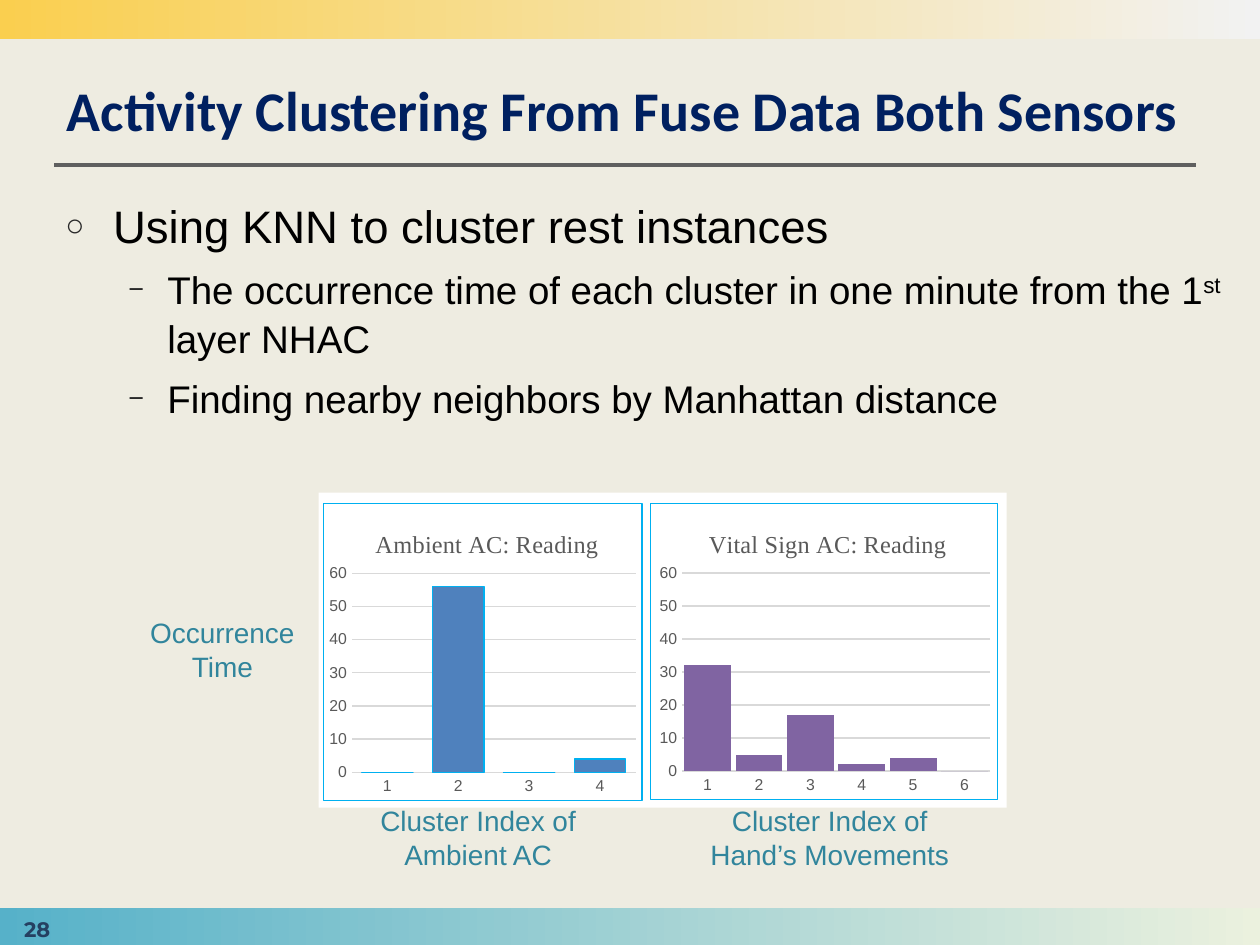
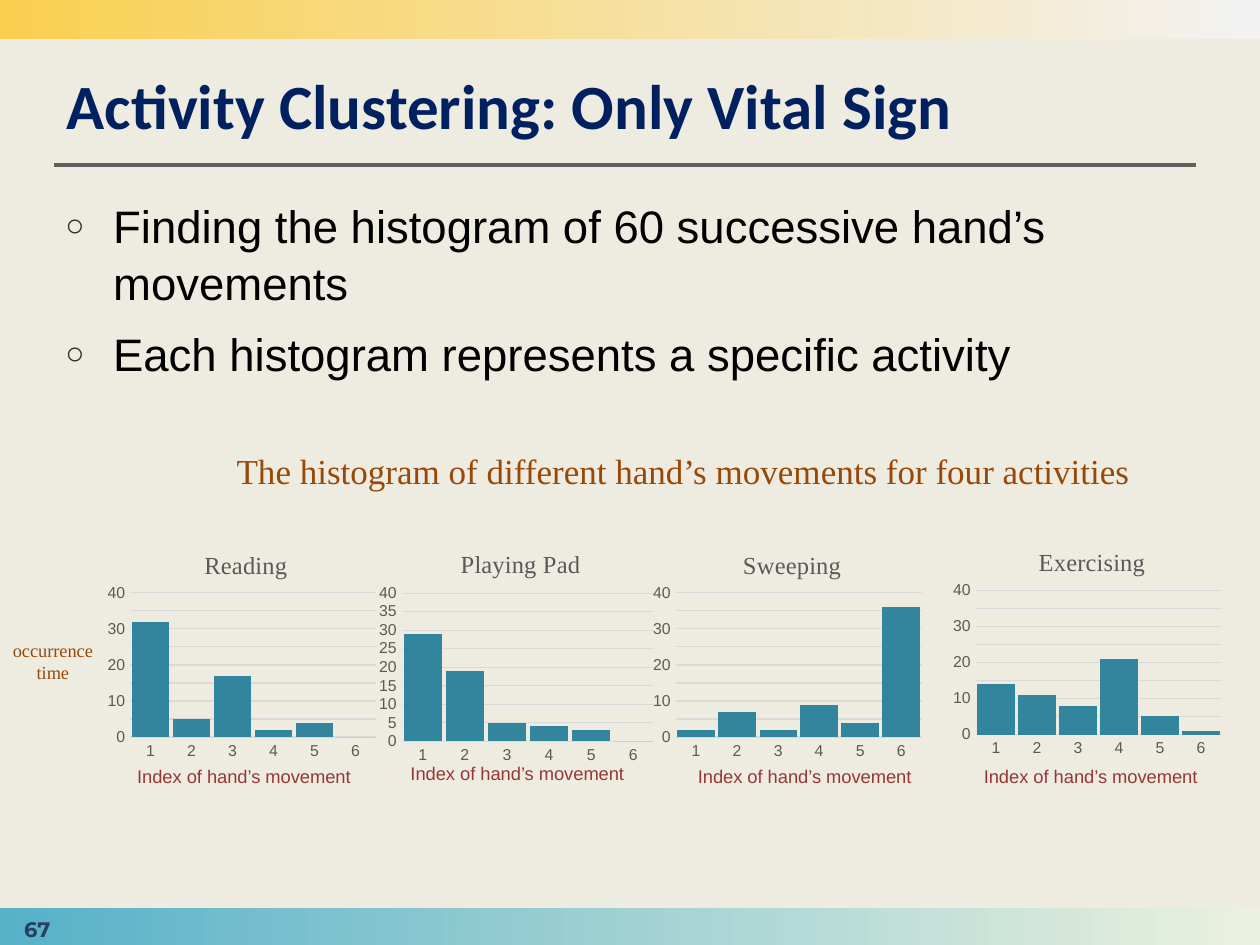
import pptx
import pptx.util
import pptx.dml.color
import pptx.chart.data
import pptx.enum.chart
import pptx.enum.shapes
import pptx.enum.text
import pptx.oxml
import pptx.oxml.ns

Pt = pptx.util.Pt
qn = pptx.oxml.ns.qn
RGB = pptx.dml.color.RGBColor.from_string
ALIGN = pptx.enum.text.PP_ALIGN
ANCHOR = pptx.enum.text.MSO_ANCHOR
RECT = pptx.enum.shapes.MSO_SHAPE.RECTANGLE
COLUMNS = pptx.enum.chart.XL_CHART_TYPE.COLUMN_CLUSTERED
NO_TICK = pptx.enum.chart.XL_TICK_MARK.NONE

C = {
    "back": "EEECE1", "gold": "FACF4F", "pale": "F2F2F2", "sea": "56B1C9",
    "mint": "EBF1DE", "rule": "5F5F5F", "title": "002060", "text": "000000",
    "bullet": "292929", "page": "254061", "panel": "FFFFFF", "label": "595959",
    "grid": "D9D9D9", "frame": "00B0F0", "blue": "4F81BD", "purple": "8064A2",
    "teal": "31859C", "brown": "984807", "red": "953735",
}
A = 'xmlns:a="http://schemas.openxmlformats.org/drawingml/2006/main"'
CH = 'xmlns:c="http://schemas.openxmlformats.org/drawingml/2006/chart"'

prs = pptx.Presentation()
prs.slide_width = pptx.util.Inches(10)
prs.slide_height = pptx.util.Inches(7.5)
CELL = prs.slide_width / 100


def grid(*cells):
    return [round(c * CELL) for c in cells]


def label(s, place, text, size, font, color, align=ALIGN.CENTER, wrap=True):
    sp = s.shapes.add_textbox(*grid(*place))
    tf = sp.text_frame
    tf.word_wrap = wrap
    tf.text = text
    p = tf.paragraphs[0]
    p.alignment = align
    f = p.runs[0].font
    f.size, f.name, f.color.rgb = Pt(size), font, RGB(C[color])
    return sp


slides = [
    {
        "title": "Activity Clustering From Fuse Data Both Sensors",
        "size": 32, "page": "28", "panel": (25.3, 39.1, 54.6, 25),
        "body": [
            (0, ["Using KNN to cluster rest instances"]),
            (1, ["The occurrence time of each cluster in one minute from the 1", "st", " layer NHAC"]),
            (1, ["Finding nearby neighbors by Manhattan distance"]),
        ],
        "top": 60, "unit": 10, "plot": (0.09, 0.235, 0.89, 0.67), "title_y": 0.07,
        "frame": True,
        "charts": [
            ("Vital Sign AC: Reading", (51.6, 39.9, 27.6, 23.6), 0.155, [32, 5, 17, 2, 4, 0], "purple", 10, -27),
            ("Ambient AC: Reading", (25.6, 39.9, 25.4, 23.7), 0.15, [0, 56, 0, 4], "blue", 38, 27),
        ],
        "labels": [
            ((10.6, 48.4, 14.1, 6.4), "Occurrence Time", 16, "Arial", "teal"),
            ((26.8, 63.3, 22.3, 6.4), "Cluster Index of Ambient AC", 16, "Arial", "teal"),
            ((54.7, 63.3, 22.3, 6.4), "Cluster Index of Hand’s Movements", 16, "Arial", "teal"),
        ],
    },
    {
        "title": "Activity Clustering: Only Vital Sign",
        "size": 36, "page": "67", "panel": None,
        "body": [
            (0, ["Finding the histogram of 60 successive hand’s movements"]),
            (0, ["Each histogram represents a specific activity"]),
        ],
        "top": 40, "unit": 5, "plot": (0.1, 0.28, 0.88, 0.6), "title_y": 0.08,
        "frame": False,
        "charts": [
            ("Exercising", (75.2, 41.5, 22.2, 19.1), 0.31, [14, 11, 8, 21, 5, 1], "teal", 10, 0),
            ("Reading", (8.1, 41.7, 22.2, 19.1), 0.35, [32, 5, 17, 2, 4, 0], "teal", 10, -27),
            ("Sweeping", (51.4, 41.7, 22.2, 19.1), 0.325, [2, 7, 2, 9, 4, 36], "teal", 10, -27),
            ("Playing Pad", (29.6, 41.6, 22.8, 19.6), 0.29, [29, 19, 5, 4, 3, 0], "teal", 10, -27),
        ],
        "labels": [
            ((17.8, 35.2, 73.3, 4.4), "The histogram of different hand’s movements for four activities",
             20, "Times New Roman", "brown", ALIGN.LEFT, False),
            ((-0.2, 50.2, 8.8, 4.5), "occurrence time", 10.5, "Times New Roman", "brown"),
        ] + [
            ((x, y, 19.3, 2.8), "Index of hand’s movement", 10.5, "Arial", "red", ALIGN.LEFT, False)
            for x, y in ((9.9, 60.2), (31.6, 60), (54.4, 60.2), (77.1, 60.2))
        ],
    },
]
bands = [((0, 72.1, 100, 3.1), "sea", "mint"), ((0, 0, 100, 3.1), "gold", "pale")]
levels = [(26, 0.38, 0.38, "○"), (22, 0.81, 0.31, "−")]

for page in slides:
    s = prs.slides.add_slide(prs.slide_layouts[5])
    s.background.fill.solid()
    s.background.fill.fore_color.rgb = RGB(C["back"])

    for place, left, right in bands:
        sp = s.shapes.add_shape(RECT, *grid(*place))
        sp.shadow.inherit = False
        sp.line.fill.background()
        sp.fill.gradient()
        sp.fill.gradient_angle = 0
        for stop, color in zip(sp.fill.gradient_stops, (left, right)):
            stop.color.rgb = RGB(C[color])

    rule = s.shapes.add_connector(
        pptx.enum.shapes.MSO_CONNECTOR.STRAIGHT, *grid(4.3, 13.1, 94.9, 13.1))
    rule.line.color.rgb = RGB(C["rule"])
    rule.line.width = Pt(2.25)
    rule._element.spPr.append(pptx.oxml.parse_xml(f"<a:effectLst {A}/>"))

    sp = s.shapes.title
    sp.left, sp.top, sp.width, sp.height = grid(4.3, 4.4, 94.5, 7.4)
    tf = sp.text_frame
    tf.text = page["title"]
    tf.auto_size = pptx.enum.text.MSO_AUTO_SIZE.NONE
    tf.vertical_anchor = ANCHOR.BOTTOM
    p = tf.paragraphs[0]
    p.alignment = ALIGN.LEFT
    f = p.runs[0].font
    f.name, f.size, f.bold = "Calibri", Pt(page["size"]), True
    f.color.rgb = RGB(C["title"])

    tf = s.shapes.add_textbox(*grid(4.2, 15, 94.7, 53.5)).text_frame
    tf.word_wrap = True
    for i, (level, parts) in enumerate(page["body"]):
        size, margin, hang, bullet = levels[level]
        p = tf.add_paragraph() if i else tf.paragraphs[0]
        p.level = level
        p.line_spacing = 1.05
        p.space_before = Pt(size * 0.3)
        pPr = p._p.get_or_add_pPr()
        pPr.set("marL", str(pptx.util.Inches(margin)))
        pPr.set("indent", str(-pptx.util.Inches(hang)))
        for xml in (f'<a:buClr {A}><a:srgbClr val="{C["bullet"]}"/></a:buClr>',
                    f'<a:buSzPct {A} val="70000"/>',
                    f'<a:buFont {A} typeface="Arial"/>',
                    f'<a:buChar {A} char="{bullet}"/>'):
            pPr.append(pptx.oxml.parse_xml(xml))
        for part in parts:
            r = p.add_run()
            r.text = part
            r.font.name, r.font.size = "Arial", Pt(size)
            r.font.color.rgb = RGB(C["text"])
            if part == "st":
                r._r.get_or_add_rPr().set("baseline", "30000")

    sp = label(s, (0, 71.4, 5.9, 4.7), page["page"], 12, "Montserrat", "page")
    sp.text_frame.vertical_anchor = ANCHOR.MIDDLE
    sp.text_frame.paragraphs[0].runs[0].font.bold = True

    if page["panel"]:
        sp = s.shapes.add_shape(RECT, *grid(*page["panel"]))
        sp.shadow.inherit = False
        sp.fill.solid()
        sp.fill.fore_color.rgb = RGB(C["panel"])
        sp.line.fill.background()

    for title, place, title_x, values, color, gap, overlap in page["charts"]:
        data = pptx.chart.data.CategoryChartData()
        data.categories = [str(n + 1) for n in range(len(values))]
        data.add_series("Series 1", values)
        chart = s.shapes.add_chart(COLUMNS, *grid(*place), data).chart
        chart.has_legend = False
        chart.font.name, chart.font.size = "Arial", Pt(10)
        chart.font.color.rgb = RGB(C["text"])

        chart.has_title = True
        tf = chart.chart_title.text_frame
        tf.text = title
        f = tf.paragraphs[0].runs[0].font
        f.name, f.size, f.bold = "Times New Roman", Pt(14), False
        f.color.rgb = RGB(C["label"])
        chart.chart_title.include_in_layout = False

        plot = chart.plots[0]
        plot.gap_width, plot.overlap, plot.vary_by_categories = gap, overlap, False
        bars = plot.series[0].format
        bars.fill.solid()
        bars.fill.fore_color.rgb = RGB(C[color])
        if color == "blue":
            bars.line.color.rgb = RGB(C["frame"])
            bars.line.width = Pt(0.75)

        cat, val = chart.category_axis, chart.value_axis
        for axis in (cat, val):
            axis.major_tick_mark = axis.minor_tick_mark = NO_TICK
            f = axis.tick_labels.font
            f.name, f.size, f.color.rgb = "Arial", Pt(9), RGB(C["label"])
        val.minimum_scale, val.maximum_scale, val.major_unit = 0, page["top"], page["unit"]
        val.format.line.fill.background()
        for line in (cat.format.line, val.major_gridlines.format.line):
            line.color.rgb = RGB(C["grid"])
            line.width = Pt(0.75)

        area = chart._chartSpace.chart.plotArea
        for parent, index, sizes in ((chart.chart_title._element, 1, (title_x, page["title_y"])),
                                     (area, 0, page["plot"])):
            for old in parent.findall(qn("c:layout")):
                parent.remove(old)
            target = '<c:layoutTarget val="inner"/>' if parent is area else ""
            modes = '<c:xMode val="edge"/><c:yMode val="edge"/>'
            shares = "".join(f'<c:{k} val="{v}"/>' for k, v in zip("xywh", sizes))
            parent.insert(index, pptx.oxml.parse_xml(
                f"<c:layout {CH}><c:manualLayout>{target}{modes}{shares}</c:manualLayout></c:layout>"))

        stroke = "<a:noFill/>"
        if page["frame"]:
            stroke = f'<a:solidFill><a:srgbClr val="{C["frame"]}"/></a:solidFill>'
        chart._chartSpace.get_or_add_txPr().addprevious(pptx.oxml.parse_xml(
            f'<c:spPr {CH} {A}><a:noFill/><a:ln w="{Pt(0.75)}">{stroke}</a:ln></c:spPr>'))

    for args in page["labels"]:
        label(s, *args)

prs.save("out.pptx")
